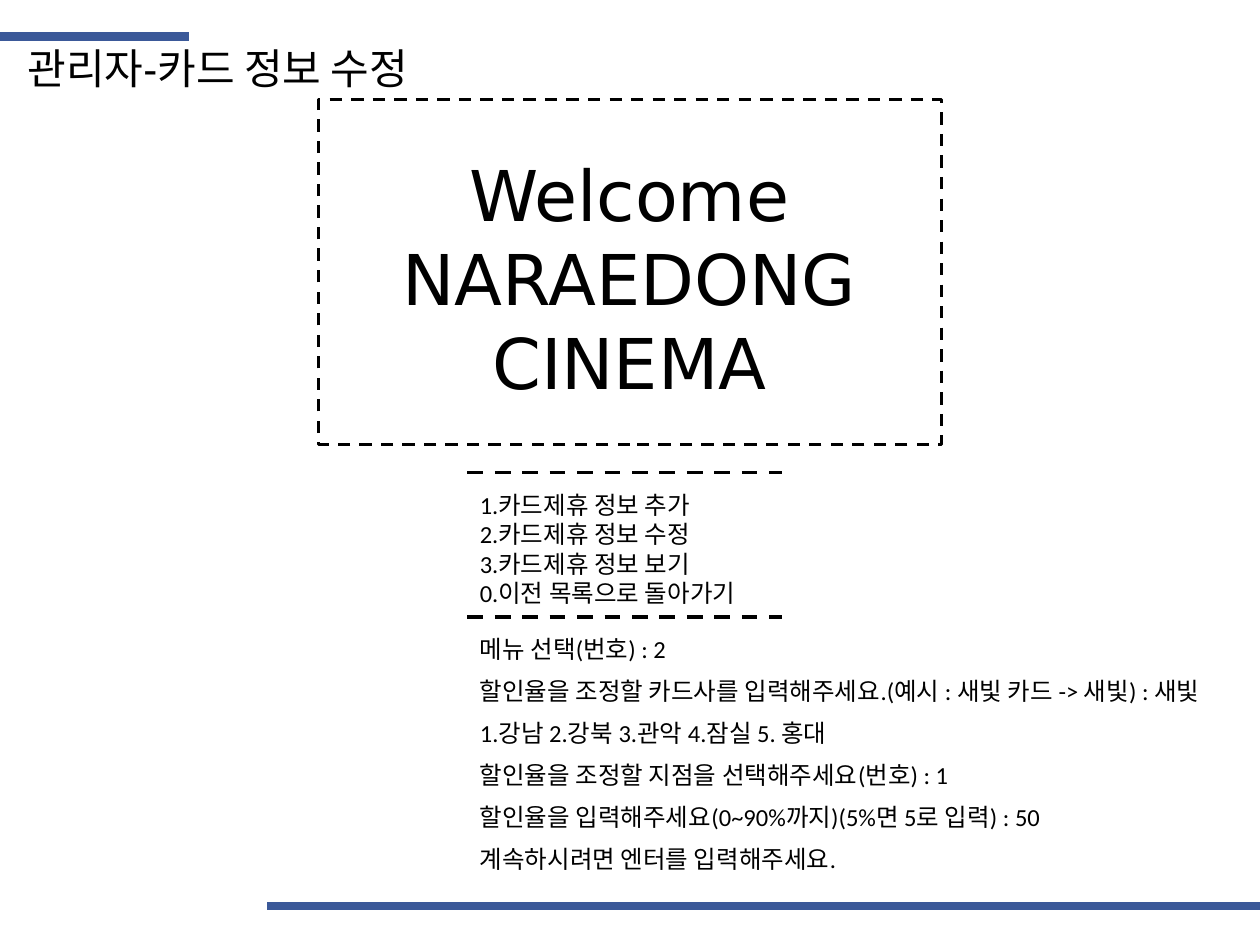
from dataclasses import dataclass

from lxml.etree import SubElement
from pptx import Presentation
from pptx.dml.color import RGBColor
from pptx.enum.dml import MSO_LINE
from pptx.enum.shapes import MSO_CONNECTOR, MSO_SHAPE
from pptx.enum.text import PP_ALIGN
from pptx.oxml.ns import qn
from pptx.util import Inches, Pt


@dataclass(frozen=True)
class Theme:
    """Colours, fonts and type sizes of the slide."""
    accent: RGBColor = RGBColor(0x3B, 0x59, 0x99)
    ink: RGBColor = RGBColor(0, 0, 0)
    title_font: str = "Arial"
    banner_font: str = "DejaVu Sans"
    body_font: str = "Calibri"
    title_size: Pt = Pt(24)
    banner_size: Pt = Pt(40)
    body_size: Pt = Pt(14)


THEME = Theme()
TITLE_FORMAT = {"name": THEME.title_font, "size": THEME.title_size}
BANNER_FORMAT = {"name": THEME.banner_font, "size": THEME.banner_size}
BODY_FORMAT = {"name": THEME.body_font, "size": THEME.body_size}

MENU = ["1.카드제휴 정보 추가", "2.카드제휴 정보 수정",
        "3.카드제휴 정보 보기", "0.이전 목록으로 돌아가기"]
PROMPTS = ["메뉴 선택(번호) : 2",
           "할인율을 조정할 카드사를 입력해주세요.(예시 : 새빛 카드 -> 새빛) : 새빛",
           "1.강남 2.강북 3.관악 4.잠실 5. 홍대",
           "할인율을 조정할 지점을 선택해주세요(번호) : 1",
           "할인율을 입력해주세요(0~90%까지)(5%면 5로 입력) : 50",
           "계속하시려면 엔터를 입력해주세요."]


def set_line(line, color, width, dash=None):
    """Set the colour, width and dash of a line."""
    line.color.rgb = color
    for name, value in {"width": Pt(width), "dash_style": dash}.items():
        setattr(line, name, value)


def add_rule(slide, left, top, width, color, weight, dash=None):
    """Draw a horizontal rule."""
    connector = slide.shapes.add_connector(
        MSO_CONNECTOR.STRAIGHT, Inches(left), Inches(top),
        Inches(left + width), Inches(top))
    set_line(connector.line, color, weight, dash)
    SubElement(connector._element.spPr, qn("a:effectLst"))


def add_text(slide, box, lines, font_format, alignment=PP_ALIGN.LEFT):
    """Place lines of text, one paragraph each, in a box."""
    text_box = slide.shapes.add_textbox(*map(Inches, box))
    frame = text_box.text_frame
    frame.word_wrap = True
    frame.text = "\n".join(lines)
    for paragraph in frame.paragraphs:
        paragraph.alignment = alignment
        font = paragraph.runs[0].font
        font.color.rgb = THEME.ink
        for name, value in font_format.items():
            setattr(font, name, value)


def add_header(slide, left, top, width, height):
    """Place the accent rule and the title under it."""
    add_rule(slide, left, top, 1.5, THEME.accent, 5)
    add_text(slide, (left + 0.12, top, width, height),
             ["관리자-카드 정보 수정"], TITLE_FORMAT)


def add_banner(slide, left, top, width, height):
    """Place the dashed frame with the welcome text."""
    frame = slide.shapes.add_shape(
        MSO_SHAPE.RECTANGLE, *map(Inches, (left, top, width, height)))
    frame.shadow.inherit = False
    frame.fill.background()
    set_line(frame.line, THEME.ink, 1.75, MSO_LINE.DASH)
    add_text(slide, (left - 0.35, top + 0.36, width + 0.69, 1.85),
             ["Welcome", "NARAEDONG", "CINEMA"], BANNER_FORMAT, PP_ALIGN.CENTER)


def add_menu(slide, left, top, width, height):
    """Place the menu between two dashed rules."""
    for rule_top in (top, top + height):
        add_rule(slide, left, rule_top, width, THEME.ink, 2.25, MSO_LINE.DASH)
    add_text(slide, (left, top + 0.09, 2.73, 1), MENU, BODY_FORMAT)


def add_prompts(slide, left, top, width, height):
    """Spread the prompt lines evenly over the box."""
    pitch = height / len(PROMPTS)
    for index, prompt in enumerate(PROMPTS):
        add_text(slide, (left, top + index * pitch, width, pitch),
                 [prompt], BODY_FORMAT)


def main():
    """Build the slide and save it."""
    presentation = Presentation()
    presentation.slide_width = Inches(10)
    presentation.slide_height = Inches(7.5)
    slide = presentation.slides.add_slide(presentation.slide_layouts[6])
    add_header(slide, 0, 0.29, 4.38, 0.5)
    add_banner(slide, 2.53, 0.79, 4.94, 2.74)
    add_menu(slide, 3.71, 3.75, 2.5, 1.15)
    add_prompts(slide, 3.71, 4.98, 6.52, 2)
    add_rule(slide, 2.12, 7.19, 7.88, THEME.accent, 5)
    presentation.save("out.pptx")


if __name__ == "__main__":
    main()
